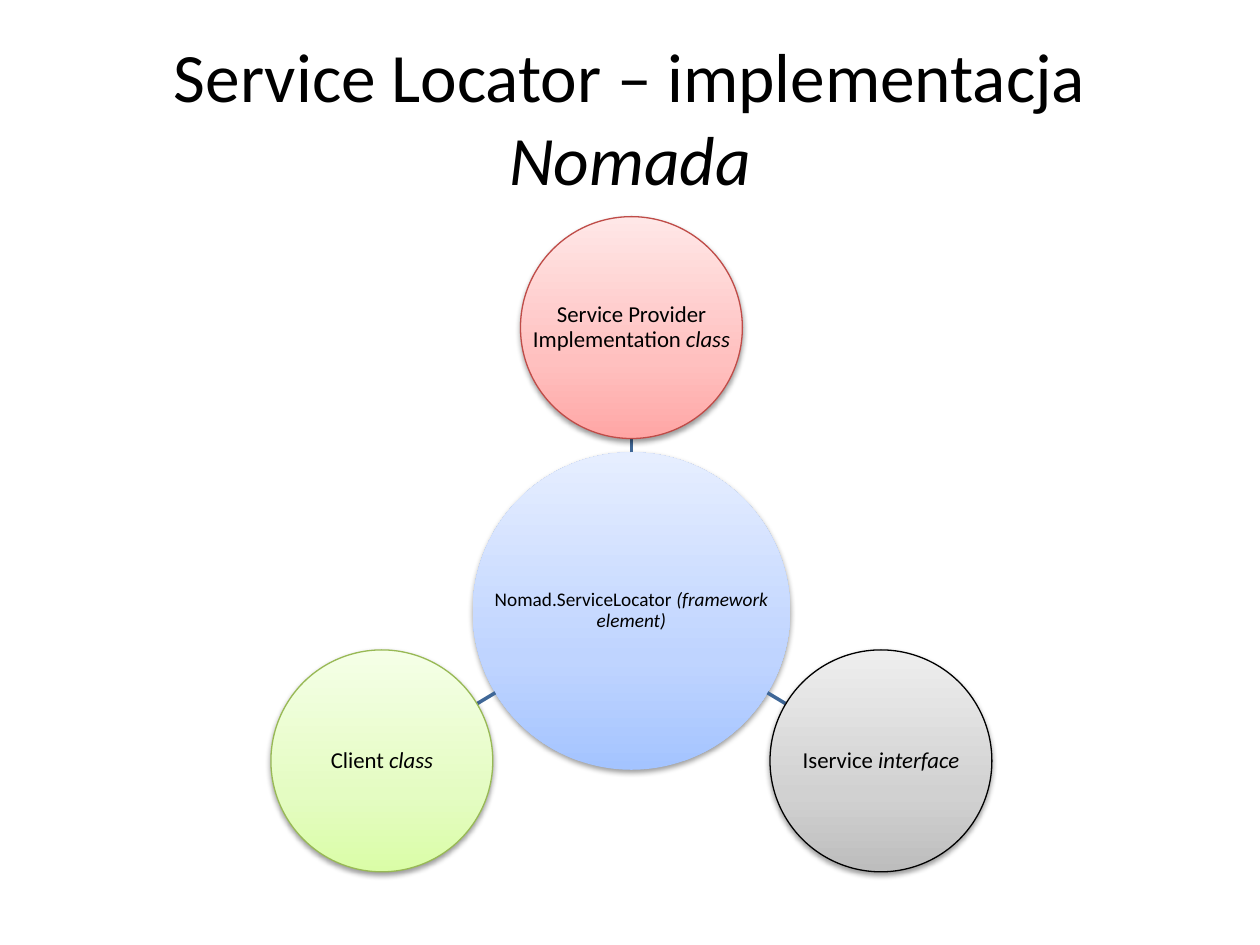
from dataclasses import dataclass
from math import hypot

from lxml.etree import SubElement
from pptx import Presentation
from pptx.dml.color import RGBColor
from pptx.enum.shapes import MSO_CONNECTOR as Connector, MSO_SHAPE as Preset
from pptx.enum.text import MSO_ANCHOR as Anchor, PP_ALIGN as Align
from pptx.oxml.ns import qn
from pptx.util import Pt


@dataclass(frozen=True)
class Theme:
    font: str = "Calibri"
    text: str = "000000"
    spoke: str = "3F6797"
    # Gradient stops from bottom to top
    blue: tuple = ("A4C4FF", "BFD4FF", "E6EEFF")
    red: tuple = ("FFA6A5", "FFC0BF", "FFE7E7")
    grey: tuple = ("BDBDBD", "D1D1D1", "EEEEEE")
    green: tuple = ("DAFDA7", "E4FCC2", "F5FFE7")
    red_line: str = "BF4C48"
    grey_line: str = "000000"
    green_line: str = "98B955"
    title_size: float = 39.6
    hub_size: float = 11
    node_size: float = 13


THEME = Theme()


def add_text(slide, box, plain, italic, size, inset=None, spacing=None):
    """Centred text whose second part is italic."""
    shape = slide.shapes.add_textbox(*map(Pt, box))
    frame = shape.text_frame
    frame.word_wrap = True
    frame.vertical_anchor = Anchor.MIDDLE
    if inset is not None:
        frame.margin_left = frame.margin_right = Pt(inset)
        frame.margin_top = frame.margin_bottom = Pt(inset)
    paragraph = frame.paragraphs[0]
    paragraph.alignment = Align.CENTER
    paragraph.line_spacing = spacing
    paragraph.font.name = THEME.font
    paragraph.font.size = Pt(size)
    paragraph.font.color.rgb = RGBColor.from_string(THEME.text)
    paragraph.add_run().text = plain
    run = paragraph.add_run()
    run.text = italic
    run.font.italic = True


def set_gradient(shape, colors):
    """Three stops, running from the bottom upwards."""
    shape.fill.gradient()
    gradient = shape._element.spPr.find(qn("a:gradFill"))
    stops = gradient.find(qn("a:gsLst"))
    for stop in list(stops):
        stops.remove(stop)
    for position, color in zip((0, 35, 100), colors):
        stop = SubElement(stops, qn("a:gs"), pos=str(position * 1000))
        SubElement(stop, qn("a:srgbClr"), val=color)
    gradient.find(qn("a:lin")).set("ang", str(270 * 60000))


def set_shadow(shape):
    shape.shadow.inherit = False
    effects = shape._element.spPr.find(qn("a:effectLst"))
    shadow = SubElement(effects, qn("a:outerShdw"), blurRad=str(Pt(3.1)),
                        dist=str(Pt(1.6)), dir=str(90 * 60000), rotWithShape="0")
    color = SubElement(shadow, qn("a:srgbClr"), val="000000")
    SubElement(color, qn("a:alpha"), val="38000")


def add_circle(slide, center, radius, colors, line, plain, italic, size):
    box = (center[0] - radius, center[1] - radius, 2 * radius, 2 * radius)
    circle = slide.shapes.add_shape(Preset.OVAL, *map(Pt, box))
    set_gradient(circle, colors)
    set_shadow(circle)
    if line:
        circle.line.color.rgb = RGBColor.from_string(line)
        circle.line.width = Pt(0.75)
    else:
        circle.line.fill.background()
    add_text(slide, box, plain, italic, size, inset=0.7, spacing=0.9)


def add_spoke(slide, center, offset, inner, outer):
    """Line along offset, from the hub's edge to the node's edge."""
    length = hypot(*offset)
    ends = [c + o * distance / length
            for distance in (inner, length - outer)
            for c, o in zip(center, offset)]
    spoke = slide.shapes.add_connector(Connector.STRAIGHT, *map(Pt, ends))
    spoke.line.color.rgb = RGBColor.from_string(THEME.spoke)
    spoke.line.width = Pt(2)
    SubElement(spoke._element.spPr, qn("a:effectLst"))


def add_radial_diagram(slide, left, top, width, height):
    """Hub with three nodes; the box encloses all the circles."""
    hub_radius, node_radius = 90.7, 63.4
    center = (left + width / 2, top + 225.4)
    reach_x = width / 2 - node_radius
    reach_up = 225.4 - node_radius
    reach_down = height - 225.4 - node_radius

    add_circle(slide, center, hub_radius, THEME.blue, None,
               "Nomad.ServiceLocator ", "(framework element)", THEME.hub_size)
    nodes = [
        ((0, -reach_up), THEME.red, THEME.red_line,
         "Service Provider Implementation ", "class"),
        ((reach_x, reach_down), THEME.grey, THEME.grey_line,
         "Iservice ", "interface"),
        ((-reach_x, reach_down), THEME.green, THEME.green_line,
         "Client ", "class"),
    ]
    for offset, colors, line, plain, italic in nodes:
        add_spoke(slide, center, offset, hub_radius, node_radius)
        node_center = [c + o for c, o in zip(center, offset)]
        add_circle(slide, node_center, node_radius, colors, line,
                   plain, italic, THEME.node_size)


def build_slide(presentation):
    slide = presentation.slides.add_slide(presentation.slide_layouts[6])
    # Title
    add_text(slide, (36, 21.6, 648, 90), "Service Locator – implementacja ",
             "Nomada", THEME.title_size)
    # Diagram
    add_radial_diagram(slide, 154.8, 123.8, 412, 374.4)


presentation = Presentation()
presentation.slide_width, presentation.slide_height = Pt(720), Pt(540)
build_slide(presentation)
presentation.save("out.pptx")
